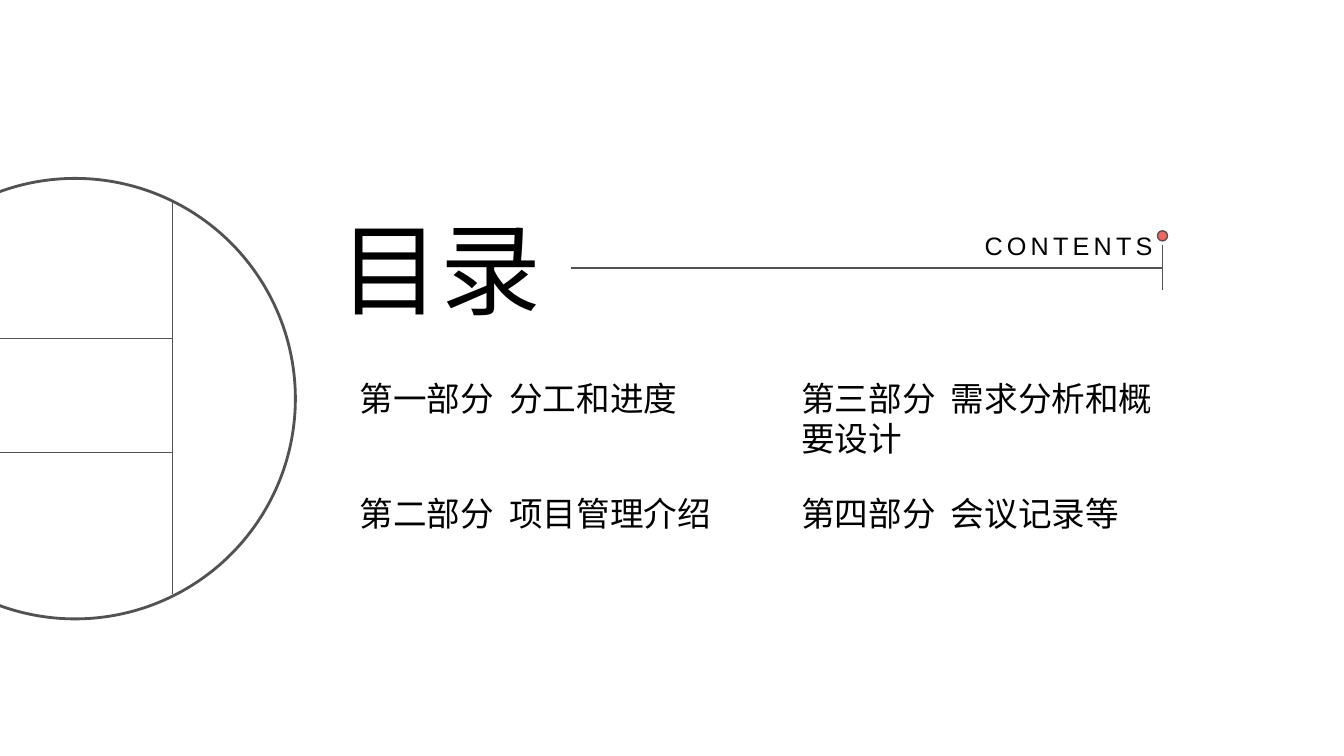
import pptx
import pptx.util
import pptx.dml.color
import pptx.enum.shapes
import pptx.enum.text
import lxml.etree

THEME = {
    "font": "Arial",
    "ink": pptx.dml.color.RGBColor.from_string("000000"),
    "rule": pptx.dml.color.RGBColor.from_string("525252"),
    "accent": pptx.dml.color.RGBColor.from_string("F36460"),
    "title": 72, "entry": 24, "label": 18,
    "thin": 1, "thick": 2,
}
LEFT = pptx.enum.text.PP_ALIGN.LEFT
RIGHT = pptx.enum.text.PP_ALIGN.RIGHT
Inches, Pt = pptx.util.Inches, pptx.util.Pt

deck = pptx.Presentation()
deck.slide_width, deck.slide_height = Inches(13.33), Inches(7.5)
slide = deck.slides.add_slide(deck.slide_layouts[6])


def write(words, left, top, width, height, size, align=LEFT):
    box = slide.shapes.add_textbox(*map(Inches, (left, top, width, height)))
    box.text_frame.word_wrap = True
    paragraph = box.text_frame.paragraphs[0]
    paragraph.text = words
    paragraph.alignment = align
    paragraph.font.name = THEME["font"]
    paragraph.font.size = Pt(THEME[size])
    paragraph.font.color.rgb = THEME["ink"]
    return paragraph


def circle(center_x, center_y, diameter, weight):
    corner = center_x - diameter / 2, center_y - diameter / 2
    disc = slide.shapes.add_shape(pptx.enum.shapes.MSO_SHAPE.OVAL,
                                  *map(Inches, (*corner, diameter, diameter)))
    disc.shadow.inherit = False
    disc.fill.background()
    disc.line.color.rgb = THEME["rule"]
    disc.line.width = Pt(THEME[weight])
    return disc


# Heading and its label, which ends at the marker post
post_x, rule_y = 11.53, 2.66
write("目录", 2.53, 2, 2.94, 1.31, "title", RIGHT)
label = write("CONTENTS", post_x - 2.49, rule_y - 0.42, 2.49, 0.42, "label", RIGHT)
label.runs[0].font._element.set("spc", "300")

# Contents entries, filled column by column
entries = [
    ["第一部分  分工和进度", "第二部分  项目管理介绍"],
    ["第三部分  需求分析和概要设计", "第四部分  会议记录等"],
]
for column, parts in enumerate(entries):
    for row, part in enumerate(parts):
        write(part, 3.47 + column * 4.38, 3.7 + row * 1.14, 3.84, 0.5, "entry")

# Ring at the left edge
ring_x, ring_y, ring_size = 0.745, 3.955, 4.37
ring_left, bar_x = ring_x - ring_size / 2, 1.71
circle(ring_x, ring_y, ring_size, "thick")

# Rules: heading line, marker post, and the bars inside the ring
rules = [
    (5.66, rule_y, post_x, rule_y),
    (post_x, 2.43, post_x, 2.88),
    (bar_x, 2, bar_x, 5.89),
    (ring_left, 3.36, bar_x, 3.36),
    (ring_left, 4.49, bar_x, 4.49),
]
for ends in rules:
    rule = slide.shapes.add_connector(pptx.enum.shapes.MSO_CONNECTOR.STRAIGHT,
                                      *map(Inches, ends))
    rule.line.color.rgb = THEME["rule"]
    rule.line.width = Pt(THEME["thin"])
    lxml.etree.SubElement(rule._element.spPr, pptx.oxml.ns.qn("a:effectLst"))

# Dot on top of the marker post
dot = circle(post_x, 2.34, 0.1, "thin")
dot.fill.solid()
dot.fill.fore_color.rgb = THEME["accent"]

deck.save("out.pptx")
